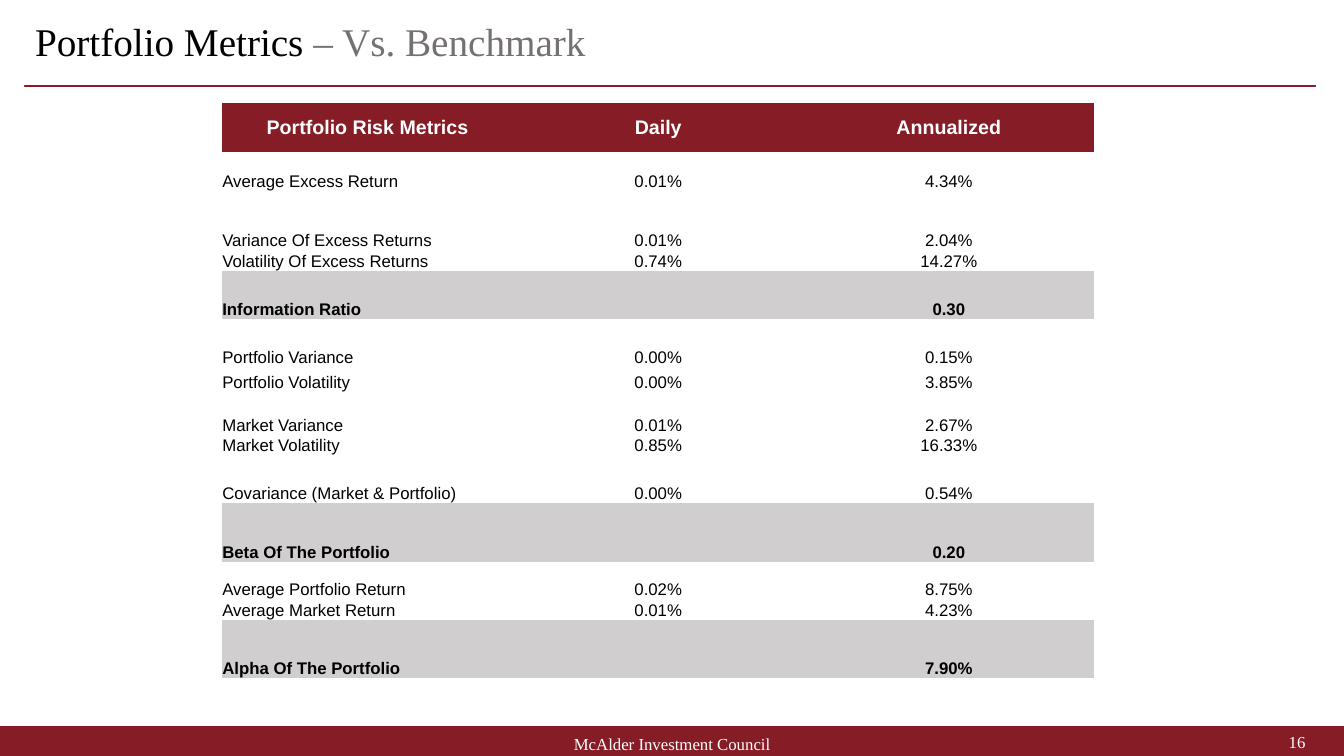
from pptx import Presentation
from pptx.dml.color import RGBColor
from pptx.enum import shapes, text
from pptx.oxml.ns import qn
from pptx.util import Pt

COLORS = {"maroon": "861C26", "gray": "D0CECE", "dark_gray": "767171",
          "black": "000000", "white": "FFFFFF"}
SERIF, SANS = "Times New Roman", "Arial"
NO_STYLE = "{2D5ABB26-0587-4C30-8999-92F81FD0307C}"

TITLE = [("Portfolio Metrics ", "black"), ("– Vs. Benchmark", "dark_gray")]
FOOTER = "McAlder Investment Council"
PAGE_NUMBER = "16"

# Row height, then label, daily and annualized values
HEADER = (34.8, "Portfolio Risk Metrics", "Daily", "Annualized")
METRICS = [
    (28, "Average Excess Return", "0.01%", "4.34%"),
    (42.3, "Variance Of Excess Returns", "0.01%", "2.04%"),
    (13.8, "Volatility Of Excess Returns", "0.74%", "14.27%"),
    (34.5, "Information Ratio", "", "0.30"),
    (34.5, "Portfolio Variance", "0.00%", "0.15%"),
    (18, "Portfolio Volatility", "0.00%", "3.85%"),
    (30.2, "Market Variance", "0.01%", "2.67%"),
    (14.2, "Market Volatility", "0.85%", "16.33%"),
    (34.5, "Covariance (Market & Portfolio)", "0.00%", "0.54%"),
    (42, "Beta Of The Portfolio", "", "0.20"),
    (26.8, "Average Portfolio Return", "0.02%", "8.75%"),
    (13.8, "Average Market Return", "0.01%", "4.23%"),
    (42, "Alpha Of The Portfolio", "", "7.90%"),
]
COLUMN_WIDTH = 207.6


def color(name):
    return RGBColor.from_string(COLORS[name])


def write(frame, spans, font=SANS, size=12, bold=False,
          align=text.PP_ALIGN.LEFT, spacing=None):
    """Fill a text frame with one paragraph of (words, color) spans."""
    para = frame.paragraphs[0]
    para.alignment = align
    para.line_spacing = spacing
    para.font.size = Pt(size)
    for words, tone in spans:
        span = para.add_run()
        span.text = words
        span.font.name = font
        span.font.size = Pt(size)
        span.font.bold = bold
        span.font.color.rgb = color(tone)


def add_bar(page, *place):
    bar = page.shapes.add_shape(shapes.MSO_SHAPE.RECTANGLE, *map(Pt, place))
    bar.shadow.inherit = False
    bar.fill.solid()
    bar.fill.fore_color.rgb = color("maroon")
    bar.line.color.rgb = color("maroon")
    bar.line.width = Pt(1)


def add_label(page, place, spans, **style):
    box = page.shapes.add_textbox(*map(Pt, place))
    box.text_frame.word_wrap = True
    box.text_frame.vertical_anchor = text.MSO_ANCHOR.MIDDLE
    write(box.text_frame, spans, font=SERIF, **style)


def add_metrics(page):
    rows = [HEADER] + METRICS
    columns = len(HEADER) - 1
    frame = page.shapes.add_table(
        len(rows), columns, Pt(158.8), Pt(73.8),
        Pt(COLUMN_WIDTH * columns), Pt(sum(row[0] for row in rows)))
    table = frame.table
    table.first_row = table.horz_banding = False
    table._tbl.tblPr.find(qn("a:tableStyleId")).text = NO_STYLE
    for column in table.columns:
        column.width = Pt(COLUMN_WIDTH)
    for r, (height, *values) in enumerate(rows):
        table.rows[r].height = Pt(height)
        is_header = r == 0
        is_result = "" in values  # results have no daily value
        fill = "maroon" if is_header else "gray" if is_result else "white"
        for c, value in enumerate(values):
            cell = table.cell(r, c)
            cell.margin_left = cell.margin_right = 0
            cell.margin_top = cell.margin_bottom = 0
            cell.vertical_anchor = (text.MSO_ANCHOR.MIDDLE if is_header
                                    else text.MSO_ANCHOR.BOTTOM)
            cell.fill.solid()
            cell.fill.fore_color.rgb = color(fill)
            spans = [(value, "white" if is_header else "black")] if value else []
            centred = is_header or c > 0
            write(cell.text_frame, spans, size=14 if is_header else 12,
                  bold=is_header or is_result,
                  align=text.PP_ALIGN.CENTER if centred else text.PP_ALIGN.LEFT)


def main():
    deck = Presentation()
    deck.slide_width, deck.slide_height = Pt(960), Pt(540)
    page = deck.slides.add_slide(deck.slide_layouts[6])

    # Footer band and title rule
    add_bar(page, 0, 519.1, 960, 23.8)
    add_bar(page, 18, 61.2, 921.6, 0.5)

    # Title, footer and page number
    add_label(page, (18, 13.7, 921.6, 34.6), TITLE, size=28, spacing=0.9)
    add_label(page, (318.2, 524.2, 324, 14.4), [(FOOTER, "white")],
              align=text.PP_ALIGN.CENTER)
    add_label(page, (723.6, 522.7, 216, 14.4), [(PAGE_NUMBER, "white")],
              align=text.PP_ALIGN.RIGHT)

    # Risk metrics
    add_metrics(page)
    deck.save("out.pptx")


if __name__ == "__main__":
    main()
